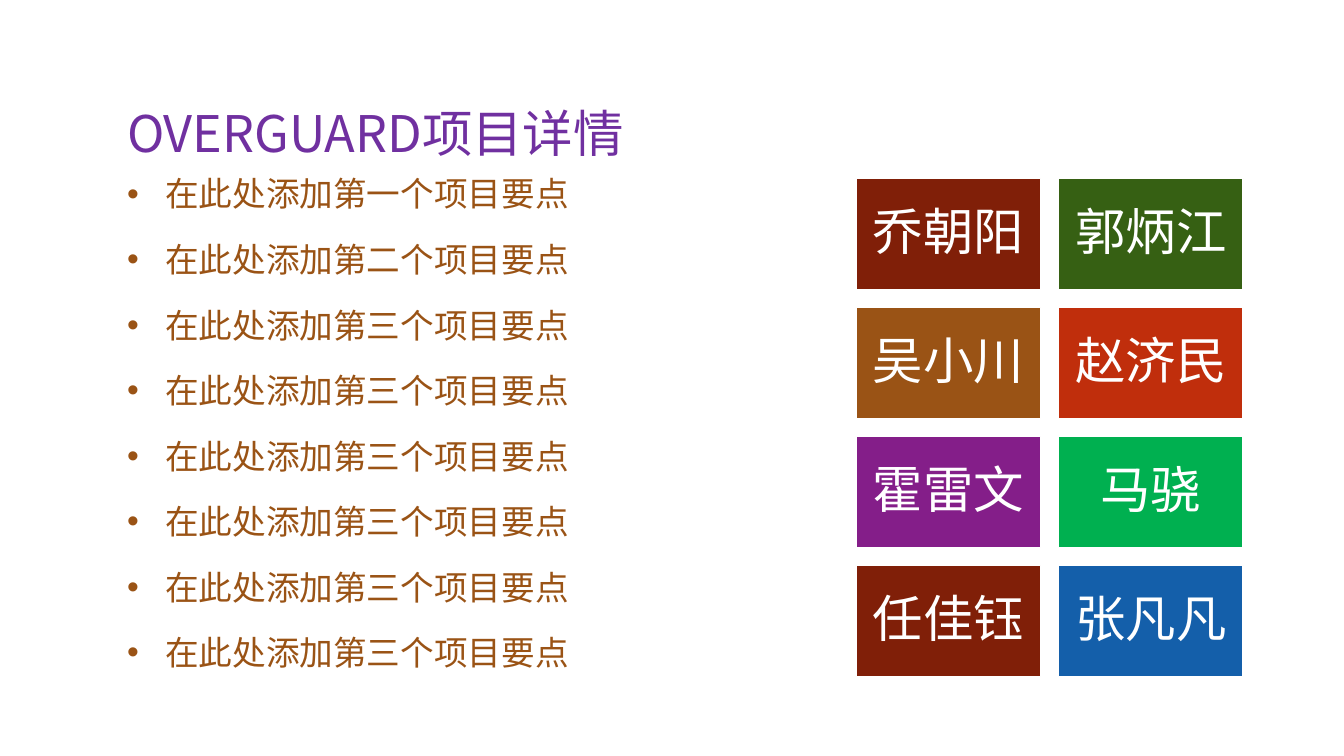
from dataclasses import dataclass

from lxml import etree
from pptx import Presentation
from pptx.dml.color import RGBColor
from pptx.enum.shapes import MSO_SHAPE
from pptx.enum.text import MSO_ANCHOR, MSO_AUTO_SIZE, PP_ALIGN
from pptx.oxml.ns import qn
from pptx.util import Inches, Pt

RECT = MSO_SHAPE.RECTANGLE
TOP, MIDDLE, BOTTOM = MSO_ANCHOR.TOP, MSO_ANCHOR.MIDDLE, MSO_ANCHOR.BOTTOM
LEFT, CENTER = PP_ALIGN.LEFT, PP_ALIGN.CENTER
NO_FIT = MSO_AUTO_SIZE.NONE


@dataclass(frozen=True)
class Theme:
    """Hold the font, colours and type sizes."""
    font: str = "Noto Sans CJK SC"
    title: str = "7030A0"
    body: str = "9A5315"
    white: str = "FFFFFF"
    large: int = 36
    medium: int = 24


THEME = Theme()
TITLE = "OVERGUARD项目详情"
POINTS = [f"在此处添加第{n}个项目要点" for n in "一二三三三三三三"]
MEMBERS = [
    ("乔朝阳", "801F08"), ("郭炳江", "366013"),
    ("吴小川", "9A5315"), ("赵济民", "C02E0C"),
    ("霍雷文", "841E89"), ("马骁", "00B050"),
    ("任佳钰", "801F08"), ("张凡凡", "145FAA"),
]


def set_attrs(obj, values):
    """Set each named attribute of an object."""
    for name, value in values.items():
        setattr(obj, name, value)


def place(sp, left, top, width, height):
    """Set position and size in inches."""
    set_attrs(sp, {"left": Inches(left), "top": Inches(top),
                   "width": Inches(width), "height": Inches(height)})


def write(p, text, size, color, **layout):
    """Write one formatted run into a paragraph."""
    set_attrs(p, layout)
    r = p.add_run()
    r.text = text
    set_attrs(r.font, {"name": THEME.font, "size": Pt(size)})
    r.font.color.rgb = RGBColor.from_string(color)
    etree.SubElement(r.font._element, qn("a:ea"), typeface=THEME.font)


def add_bullet(p, indent):
    """Give a paragraph a round bullet with a hanging indent."""
    pPr = p._p.get_or_add_pPr()
    pPr.set("marL", str(Inches(indent)))
    pPr.set("indent", str(-Inches(indent)))
    etree.SubElement(pPr, qn("a:buFont"), typeface="Arial")
    etree.SubElement(pPr, qn("a:buChar"), char="•")


def fill_title(sp, text):
    """Place and write the slide title."""
    place(sp, 1.16, 0.33, 11, 1.34)
    tf = sp.text_frame
    set_attrs(tf, {"vertical_anchor": BOTTOM, "auto_size": NO_FIT})
    write(tf.paragraphs[0], text, THEME.large, THEME.title,
          alignment=LEFT, line_spacing=0.9)


def fill_list(sp, points):
    """Place and write the bulleted list."""
    place(sp, 1.16, 1.67, 5.5, 5.5)
    tf = sp.text_frame
    set_attrs(tf, {"vertical_anchor": TOP, "auto_size": NO_FIT})
    for i, text in enumerate(points):
        p = tf.add_paragraph() if i else tf.paragraphs[0]
        add_bullet(p, 0.38)
        write(p, text, THEME.medium, THEME.body, alignment=LEFT,
              line_spacing=1.0, space_before=Pt(18 if i else 0))


def add_tile(slide, left, top, name, color):
    """Add a coloured tile with a member's name."""
    sp = slide.shapes.add_shape(RECT, Inches(left), Inches(top), Inches(1.83), Inches(1.1))
    sp.shadow.inherit = False
    sp.fill.solid()
    sp.fill.fore_color.rgb = RGBColor.from_string(color)
    sp.line.color.rgb = RGBColor.from_string(THEME.white)
    sp.line.width = Pt(1)
    tf = sp.text_frame
    set_attrs(tf, {"word_wrap": True, "vertical_anchor": MIDDLE})
    set_attrs(tf, {f"margin_{side}": Inches(0.15)
                   for side in ("left", "top", "right", "bottom")})
    write(tf.paragraphs[0], name, THEME.large, THEME.white,
          alignment=CENTER, line_spacing=0.9)


def main():
    """Build and save the slide."""
    prs = Presentation()
    set_attrs(prs, {"slide_width": Inches(13.33), "slide_height": Inches(7.5)})
    slide = prs.slides.add_slide(prs.slide_layouts[1])
    fill_title(slide.shapes.title, TITLE)
    fill_list(slide.placeholders[1], POINTS)
    for i, (name, color) in enumerate(MEMBERS):
        row, col = divmod(i, 2)
        add_tile(slide, 8.49 + 2.01 * col, 1.77 + 1.28 * row, name, color)
    prs.save("out.pptx")


if __name__ == "__main__":
    main()
